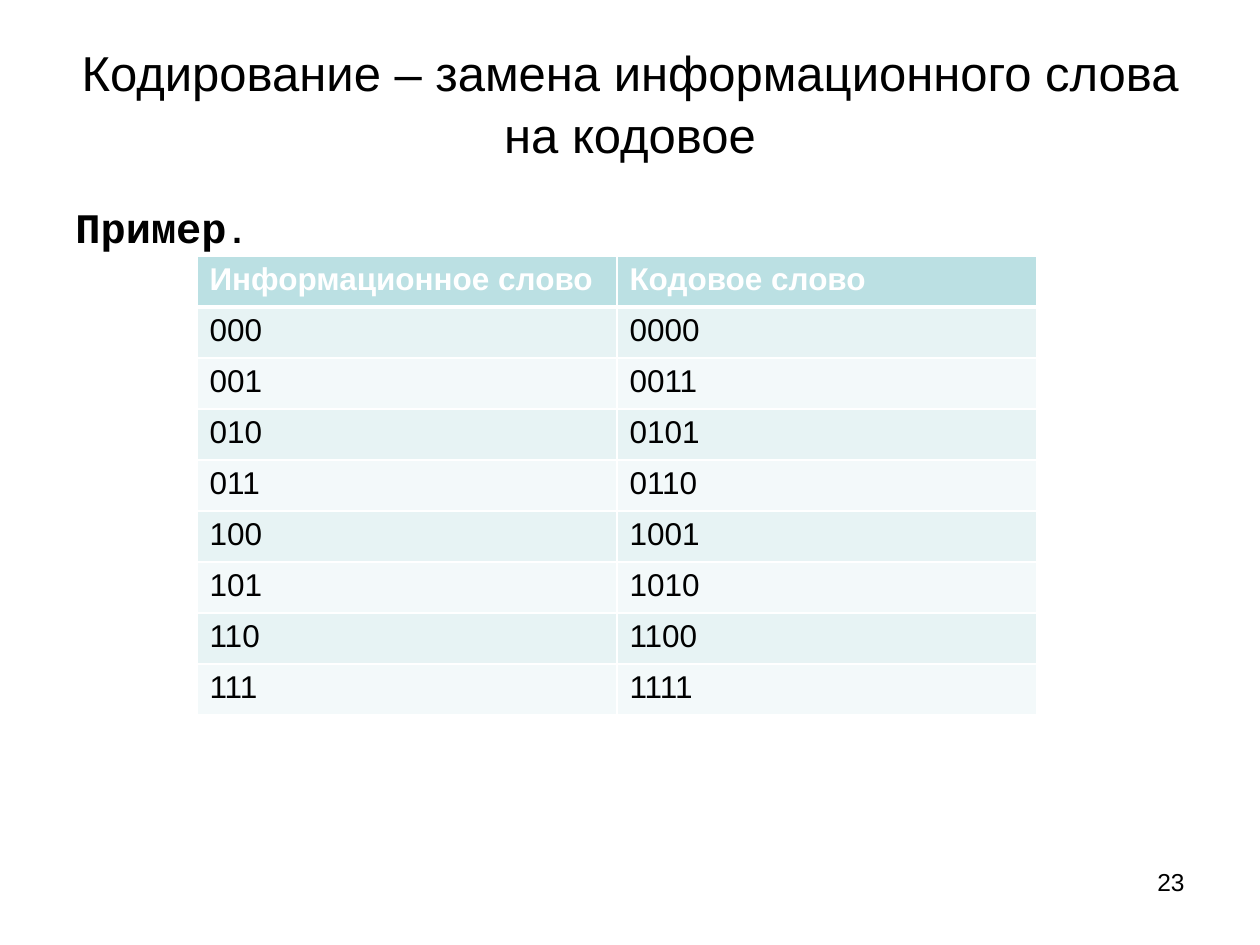
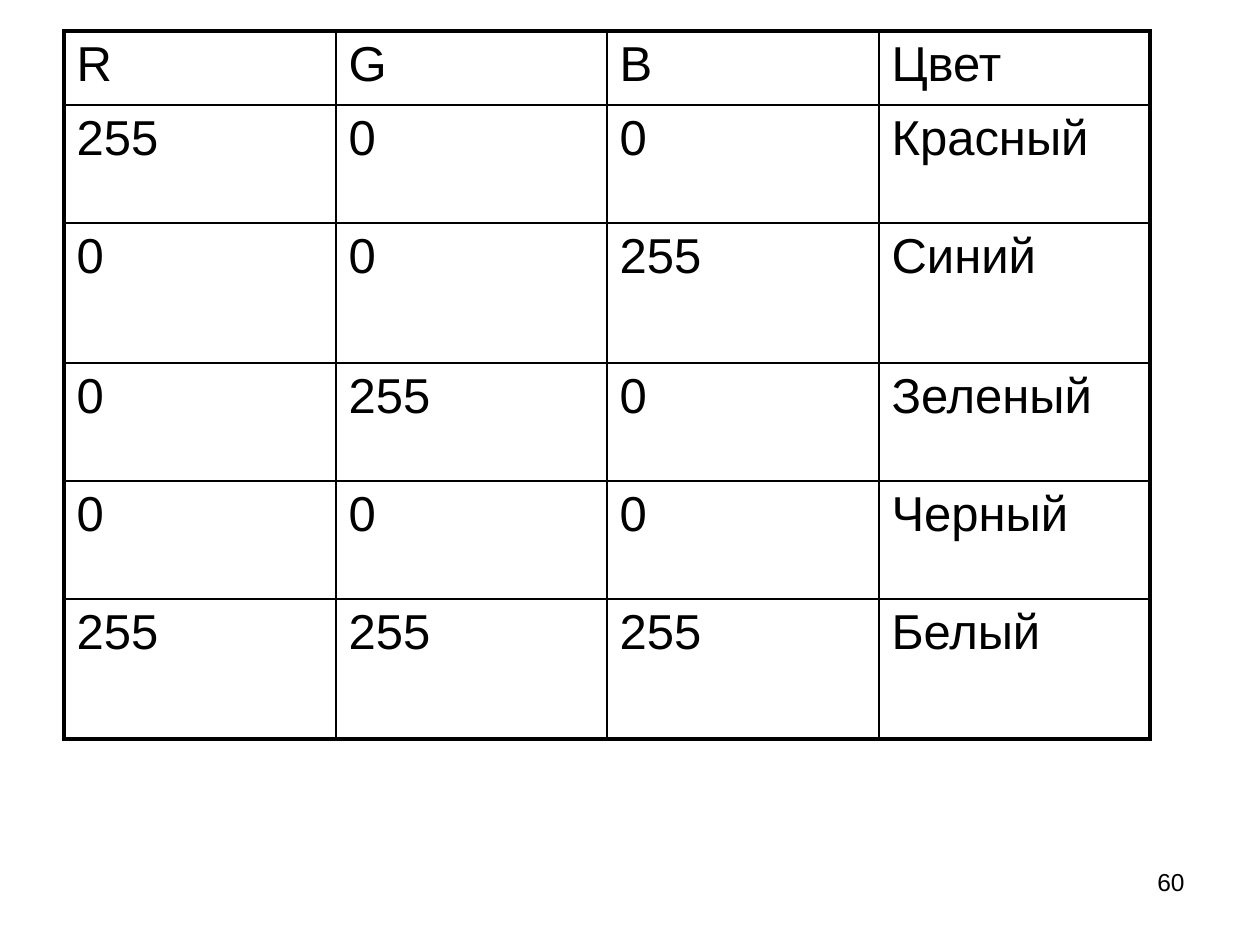
"""Build two slides: a code word table and an RGB colour table."""
import pptx
import pptx.dml.color
import pptx.enum.text
import pptx.util
from lxml import etree

COLORS = {"text": "000000", "paper": "FFFFFF", "header": "BBE0E3", "odd": "E7F3F4", "even": "F3F9FA"}
FONT = "Arial"
PX = 914400 / 126
NUMBER_BOX = (903, 861, 294, 66)

TITLE = "Кодирование – замена информационного слова на кодовое"
TITLE_BOX = (63, 38, 1134, 127)
EXAMPLE = (("Пример", 24), (".", 20))
EXAMPLE_BOX = (63, 165, 1163, 735)
CODE_HEADER = ("Информационное слово", "Кодовое слово")
INFO_WORDS = ("000", "001", "010", "011", "100", "101", "110", "111")

RGB_ROWS = [
    ("R", "G", "B", "Цвет"),
    ("255", "0", "0", "Красный"),
    ("0", "0", "255", "Синий"),
    ("0", "255", "0", "Зеленый"),
    ("0", "0", "0", "Черный"),
    ("255", "255", "255", "Белый"),
]
RGB_COLS = (272, 271, 272, 271)
RGB_HEIGHTS = (74, 118, 140, 118, 118, 140)


def emu(*lengths):
    return [pptx.util.Emu(round(n * PX)) for n in lengths]


def style(font, size, color="text", bold=False, name=FONT):
    font.name, font.size, font.bold = name, pptx.util.Pt(size), bold
    font.color.rgb = pptx.dml.color.RGBColor.from_string(COLORS[color])


def add_box(s, box):
    tf = s.shapes.add_textbox(*emu(*box)).text_frame
    tf.word_wrap = True
    return tf


def add_number(s, number):
    p = add_box(s, NUMBER_BOX).paragraphs[0]
    p.text = str(number)
    p.alignment = pptx.enum.text.PP_ALIGN.RIGHT
    style(p.runs[0].font, 14)


def set_borders(cell, widths, color):
    tc_pr = cell._tc.get_or_add_tcPr()
    ns = pptx.oxml.ns.qn
    for side, width in zip("LRTB", widths):
        ln = etree.SubElement(tc_pr, ns("a:ln" + side), w=str(pptx.util.Pt(width)))
        fill = etree.SubElement(ln, ns("a:solidFill"))
        etree.SubElement(fill, ns("a:srgbClr"), val=COLORS[color])


def add_table(s, left, top, rows, cols, heights, border):
    frame = s.shapes.add_table(len(rows), len(cols), *emu(left, top, sum(cols), sum(heights)))
    table = frame.table
    table.first_row = table.horz_banding = False
    for column, width in zip(table.columns, emu(*cols)):
        column.width = width
    for row, height in zip(table.rows, emu(*heights)):
        row.height = height
    for i, words in enumerate(rows):
        for j, word in enumerate(words):
            cell = table.cell(i, j)
            cell.text = word
            set_borders(cell, border["widths"](i, j), border["color"])
            yield i, cell


def code_borders(i, j):
    return 1, 1, 3 if i == 1 else 1, 3 if i == 0 else 1


def rgb_borders(i, j):
    last_row, last_col = len(RGB_ROWS) - 1, len(RGB_COLS) - 1
    return [2.25 if edge else 1 for edge in (j == 0, j == last_col, i == 0, i == last_row)]


def code_slide(prs):
    s = prs.slides.add_slide(prs.slide_layouts[5])
    title = s.shapes.title
    title.left, title.top, title.width, title.height = emu(*TITLE_BOX)
    tf = title.text_frame
    tf.text = TITLE
    tf.auto_size = pptx.enum.text.MSO_AUTO_SIZE.NONE
    tf.vertical_anchor = pptx.enum.text.MSO_ANCHOR.MIDDLE
    p = tf.paragraphs[0]
    p.alignment = pptx.enum.text.PP_ALIGN.CENTER
    p.line_spacing = 1.05
    style(p.runs[0].font, 28)

    tf = add_box(s, EXAMPLE_BOX)
    tf.margin_top = emu(24)[0]
    p = tf.paragraphs[0]
    p.line_spacing = 1.25
    for text, size in EXAMPLE:
        r = p.add_run()
        r.text = text
        style(r.font, size, bold=True, name="Courier New")

    rows = [CODE_HEADER] + [(w, w + str(w.count("1") % 2)) for w in INFO_WORDS]
    border = {"widths": code_borders, "color": "paper"}
    for i, cell in add_table(s, 197, 256, rows, (420, 420), [51] * len(rows), border):
        fill = "header" if i == 0 else "odd" if i % 2 else "even"
        cell.fill.solid()
        cell.fill.fore_color.rgb = pptx.dml.color.RGBColor.from_string(COLORS[fill])
        style(cell.text_frame.paragraphs[0].runs[0].font, 18, "text" if i else "paper", i == 0)
    add_number(s, 23)


def rgb_slide(prs):
    s = prs.slides.add_slide(prs.slide_layouts[6])
    border = {"widths": rgb_borders, "color": "text"}
    for _, cell in add_table(s, 64, 31, RGB_ROWS, RGB_COLS, RGB_HEIGHTS, border):
        cell.fill.background()
        style(cell.text_frame.paragraphs[0].runs[0].font, 28)
    add_number(s, 60)


def main():
    prs = pptx.Presentation()
    prs.slide_width, prs.slide_height = emu(1260, 945)
    code_slide(prs)
    rgb_slide(prs)
    prs.save("out.pptx")


if __name__ == "__main__":
    main()
